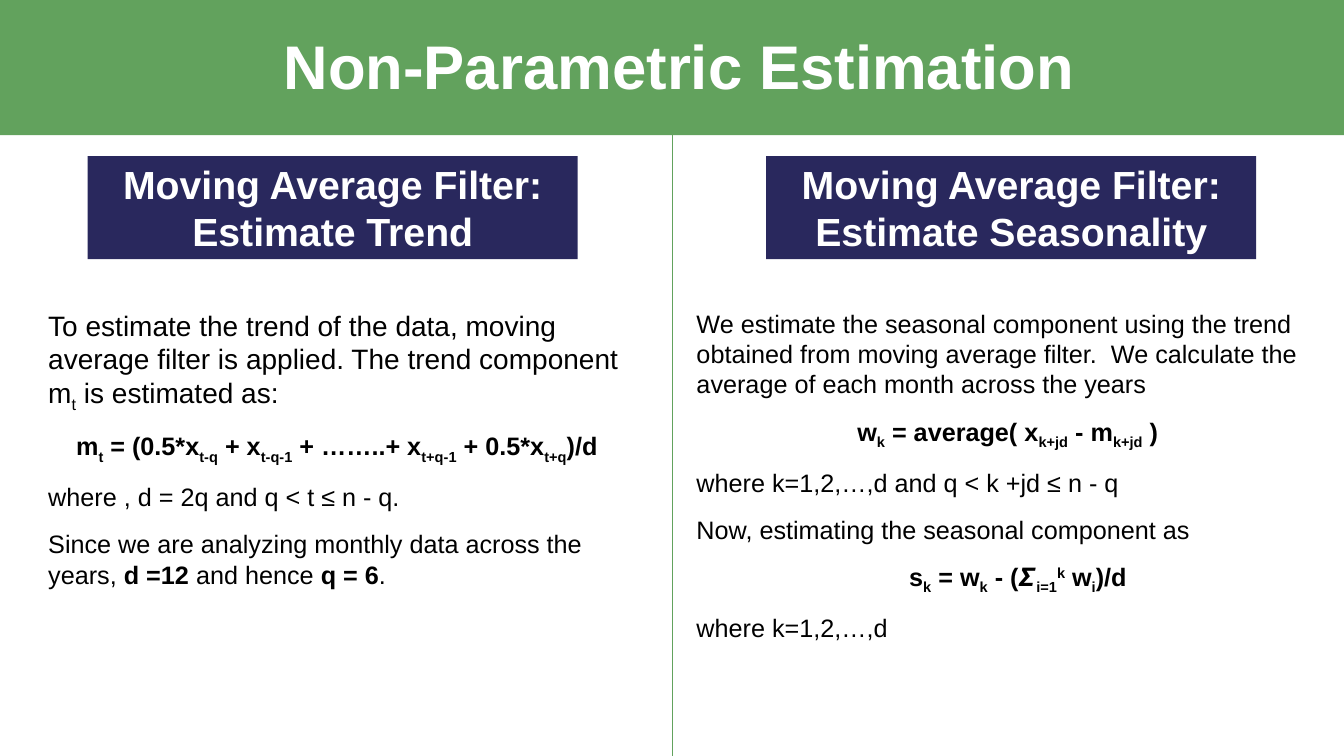
from dataclasses import dataclass

from lxml.etree import SubElement
from pptx import Presentation
from pptx.dml.color import RGBColor
from pptx.enum.shapes import MSO_CONNECTOR, MSO_SHAPE
from pptx.enum.text import MSO_ANCHOR, MSO_AUTO_SIZE, PP_ALIGN
from pptx.oxml.ns import qn
from pptx.util import Inches, Pt

FONT = "Arial"
GREEN, NAVY, WHITE, BLACK = "62A25D", "29285D", "FFFFFF", "000000"
PAGE_WIDTH, PAGE_HEIGHT = 13.33, 7.5
BANNER_HEIGHT = 1.34
BASELINES = {"_": "-25000", "^": "30000"}


@dataclass(frozen=True)
class Line:
    """Text split by "|"; a piece led by _, ^ or * is sub, superscript or bold."""
    markup: str
    size: float = 18
    bold: bool = False
    align: PP_ALIGN = PP_ALIGN.LEFT
    indent: float = 0


@dataclass(frozen=True)
class Column:
    heading: str
    heading_left: float
    body_left: float
    body_width: float
    body_height: float
    lines: tuple[Line, ...]


COLUMNS = (
    Column("Moving Average Filter: Estimate Trend", 0.87, 0.38, 5.92, 2.83, (
        Line("To estimate the trend of the data, moving average filter is applied. "
             "The trend component m|_t| is estimated as:", size=20),
        Line("m|_t| = (0.5*x|_t-q| + x|_t-q-1| + ……..+ x|_t+q-1| + 0.5*x|_t+q|)/d",
             bold=True, align=PP_ALIGN.CENTER),
        Line("where , d = 2q and q < t ≤ n - q."),
        Line("Since we are analyzing monthly data across the years, "
             "|*d =12| and hence |*q = 6|."),
    )),
    Column("Moving Average Filter: Estimate Seasonality", 7.6, 6.81, 6.37, 4.14, (
        Line("We estimate the seasonal component using the trend obtained from moving "
             "average filter.  We calculate the average of each month across the years"),
        Line("w|_k| = average( x|_k+jd| - m|_k+jd| )", bold=True, align=PP_ALIGN.CENTER),
        Line("where k=1,2,…,d and q < k +jd ≤ n - q"),
        Line("Now, estimating the seasonal component as"),
        Line("s|_k| = w|_k| - (𝜮|_i=1|^k| w|_i|)/d", bold=True, indent=2.11),
        Line("where k=1,2,…,d"),
    )),
)


def rgb(color: str) -> RGBColor:
    return RGBColor.from_string(color)


def style_font(font, size: float, color: str, bold: bool) -> None:
    font.name, font.size, font.bold = FONT, Pt(size), bold
    font.color.rgb = rgb(color)


def add_block(page, left: float, top: float, width: float, height: float, color: str):
    block = page.shapes.add_shape(MSO_SHAPE.RECTANGLE, Inches(left), Inches(top),
                                  Inches(width), Inches(height))
    block.shadow.inherit = False
    block.fill.solid()
    block.fill.fore_color.rgb = rgb(color)
    block.line.fill.background()
    return block


def set_label(shape, text: str, size: float) -> None:
    """Fill a shape with one centred, bold white paragraph."""
    frame = shape.text_frame
    frame.text = text
    frame.word_wrap = True
    frame.auto_size = MSO_AUTO_SIZE.NONE
    frame.vertical_anchor = MSO_ANCHOR.MIDDLE
    para = frame.paragraphs[0]
    para.alignment = PP_ALIGN.CENTER
    style_font(para.runs[0].font, size, WHITE, True)


def write_line(para, line: Line) -> None:
    para.alignment = line.align
    para.space_after = Pt(12)
    if line.indent:
        para._p.get_or_add_pPr().set("marL", str(Inches(line.indent)))
    for piece in line.markup.split("|"):
        mark = piece[0] if piece[0] in "_^*" else ""
        span = para.add_run()
        span.text = piece[len(mark):]
        style_font(span.font, line.size, BLACK, line.bold or mark == "*")
        if mark in BASELINES:
            span.font._element.set("baseline", BASELINES[mark])


def add_title(page) -> None:
    title = page.shapes.title
    title.left, title.top = Inches(0.99), Inches(0.2)
    title.width, title.height = Inches(11.5), Inches(0.98)
    set_label(title, "Non-Parametric Estimation", 44)
    title.text_frame.paragraphs[0].line_spacing = 0.9


def add_divider(page) -> None:
    middle = Inches(PAGE_WIDTH / 2)
    divider = page.shapes.add_connector(MSO_CONNECTOR.STRAIGHT, middle,
                                        Inches(BANNER_HEIGHT), middle, Inches(PAGE_HEIGHT))
    divider.line.color.rgb = rgb(GREEN)
    divider.line.width = Pt(0.5)
    SubElement(divider._element.spPr, qn("a:effectLst"))


def add_column(page, column: Column) -> None:
    heading = add_block(page, column.heading_left, 1.55, 4.86, 1.02, NAVY)
    set_label(heading, column.heading, 28)
    box = page.shapes.add_textbox(Inches(column.body_left), Inches(3.01),
                                  Inches(column.body_width), Inches(column.body_height))
    frame = box.text_frame
    frame.word_wrap = True
    for index, line in enumerate(column.lines):
        write_line(frame.add_paragraph() if index else frame.paragraphs[0], line)


def main() -> None:
    deck = Presentation()
    deck.slide_width, deck.slide_height = Inches(PAGE_WIDTH), Inches(PAGE_HEIGHT)
    page = deck.slides.add_slide(deck.slide_layouts[5])
    banner = add_block(page, 0, 0, PAGE_WIDTH, BANNER_HEIGHT, GREEN)
    page.shapes.title._element.addprevious(banner._element)
    add_title(page)
    add_divider(page)
    for column in COLUMNS:
        add_column(page, column)
    deck.save("out.pptx")


if __name__ == "__main__":
    main()
